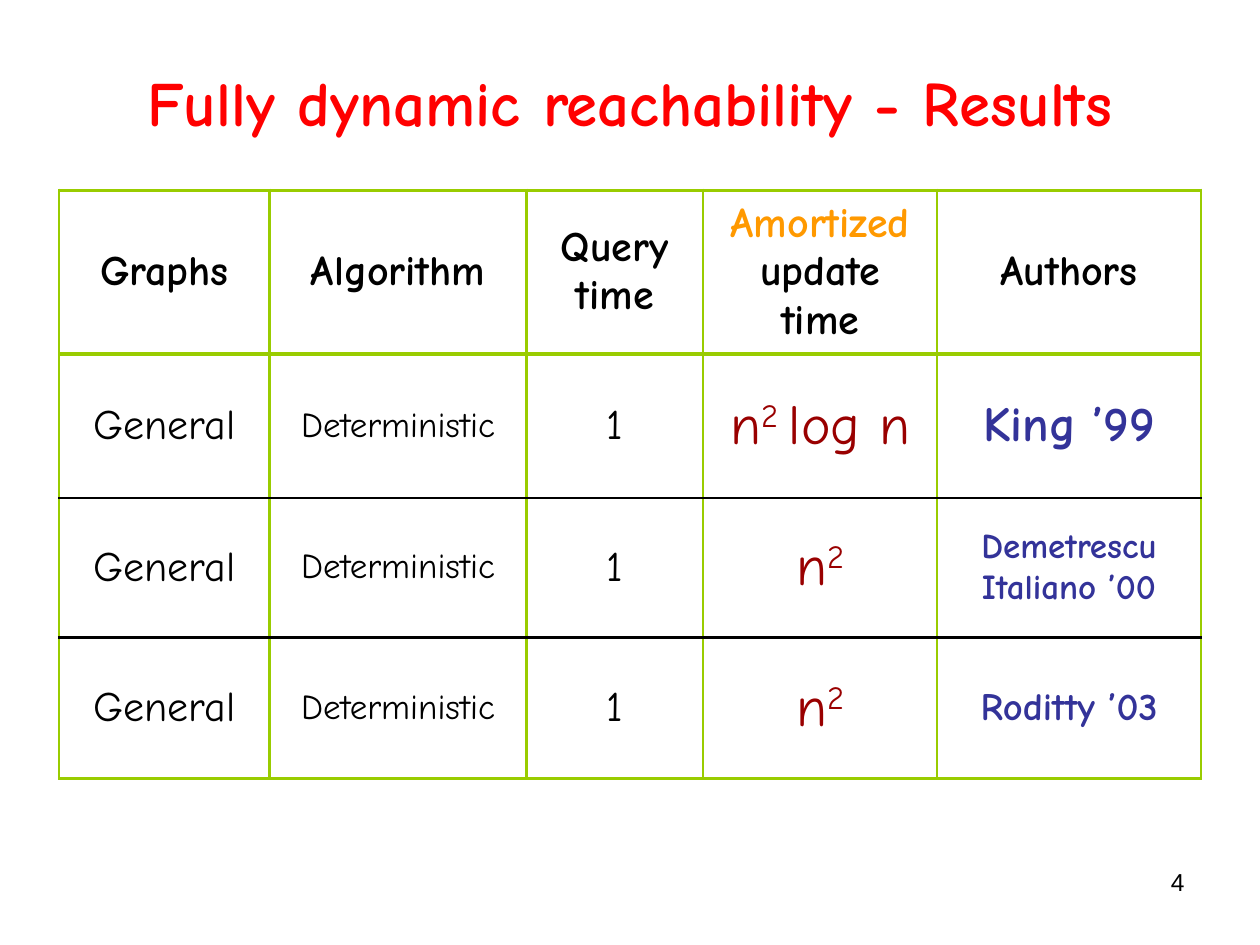
from dataclasses import dataclass

from lxml.etree import SubElement
from pptx import Presentation
from pptx.dml.color import RGBColor as RGB
from pptx.enum.text import MSO_ANCHOR as ANCHOR, PP_ALIGN as ALIGN
from pptx.oxml.ns import qn
from pptx.util import Inches, Pt


@dataclass(frozen=True)
class Theme:
    font: str = "Comic Neue"
    number_font: str = "Arial"
    black: str = "000000"
    red: str = "FF0000"
    orange: str = "FF9900"
    maroon: str = "990000"
    navy: str = "333399"
    green: str = "99CC00"
    title: int = 36
    bound: int = 32
    king: int = 28
    body: int = 24
    roditty: int = 22
    small: int = 20
    number: int = 14
    thin: float = 1.47
    thick: float = 2.21


class SlideBuilder:
    """Draw styled elements on one slide."""

    def __init__(self, slide, theme):
        self.s = slide
        self.theme = theme

    def add_text(self, p, text, size, color=None, bold=False, font=None, base=0):
        for i, line in enumerate(text.split("\n")):
            if i:
                p.add_line_break()
            r = p.add_run()
            r.text = line
            style = {"name": font or self.theme.font, "size": Pt(size), "bold": bold}
            for name, value in style.items():
                setattr(r.font, name, value)
            r.font.color.rgb = RGB.from_string(color or self.theme.black)
            if base:
                r._r.get_or_add_rPr().set("baseline", str(base * 1000))

    def place(self, sp, box):
        for name, value in zip(("left", "top", "width", "height"), box):
            setattr(sp, name, Inches(value))

    def title(self, text, box):
        sp = self.s.shapes.title
        self.place(sp, box)
        tf = sp.text_frame
        tf.vertical_anchor = ANCHOR.MIDDLE
        p = tf.paragraphs[0]
        p.alignment = ALIGN.CENTER
        self.add_text(p, text, self.theme.title, self.theme.red, True)

    def text(self, text, box, size, font):
        tf = self.s.shapes.add_textbox(*map(Inches, box)).text_frame
        tf.word_wrap = True
        p = tf.paragraphs[0]
        p.alignment = ALIGN.RIGHT
        self.add_text(p, text, size, font=font)

    def borders(self, cell, edges):
        tcPr = cell._tc.get_or_add_tcPr()
        for side, (color, width) in zip("LRTB", edges):
            ln = SubElement(tcPr, qn(f"a:ln{side}"), w=str(Pt(width)))
            fill = SubElement(ln, qn("a:solidFill"))
            SubElement(fill, qn("a:srgbClr"), val=color)

    def cell(self, cell, runs, edges):
        self.borders(cell, edges)
        cell.fill.background()
        cell.vertical_anchor = ANCHOR.MIDDLE
        p = cell.text_frame.paragraphs[0]
        p.alignment = ALIGN.CENTER
        p.space_before = Pt(runs[0]["size"] / 4)
        for run in runs:
            self.add_text(p, **run)

    def table(self, left, top, widths, heights, rows, rules):
        box = (left, top, sum(widths), sum(heights))
        frame = self.s.shapes.add_table(len(rows), len(widths), *map(Inches, box))
        table = frame.table
        table.first_row = table.horz_banding = False
        for col, width in zip(table.columns, widths):
            col.width = Inches(width)
        for row, height in zip(table.rows, heights):
            row.height = Inches(height)
        side = (self.theme.green, self.theme.thin)
        for i, row in enumerate(rows):
            for j, runs in enumerate(row):
                self.cell(table.cell(i, j), runs, (side, side, rules[i], rules[i + 1]))


def header(text, color=None):
    return dict(text=text, size=theme.body, color=color, bold=True)


def result(bound, authors, size):
    return [
        [dict(text="General", size=theme.body)],
        [dict(text="Deterministic", size=theme.small)],
        [dict(text="1", size=theme.body)],
        [dict(text=text, size=theme.bound, color=theme.maroon, base=base)
         for text, base in bound],
        [dict(text=authors, size=size, color=theme.navy, bold=True)],
    ]


theme = Theme()
prs = Presentation()
prs.slide_width, prs.slide_height = Inches(10), Inches(7.5)
slide = SlideBuilder(prs.slides.add_slide(prs.slide_layouts[5]), theme)

slide.title("Fully dynamic reachability - Results", (0, 0, 10, 1.61))

headers = [[header(text)] for text in ("Graphs", "Algorithm", "Query\ntime", "Authors")]
headers.insert(3, [header("Amortized", theme.orange), header(" update time")])
square = [("n", 0), ("2", 30)]
rows = [
    headers,
    result([("n", 0), ("2 ", 30), ("log n", 0)], "King ’99", theme.king),
    result(square, "Demetrescu\nItaliano ’00", theme.small),
    result(square, "Roditty ’03", theme.roditty),
]
frame_rule = (theme.green, theme.thick)
row_rule = (theme.black, theme.thin)
rules = [frame_rule, frame_rule, row_rule, row_rule, (theme.green, theme.thin)]
slide.table(0.47, 1.51, (1.67, 2.04, 1.4, 1.86, 2.09), (1.3, 1.14, 1.11, 1.12), rows, rules)

slide.text("4", (7.17, 6.83, 2.33, 0.52), theme.number, theme.number_font)

prs.save("out.pptx")
